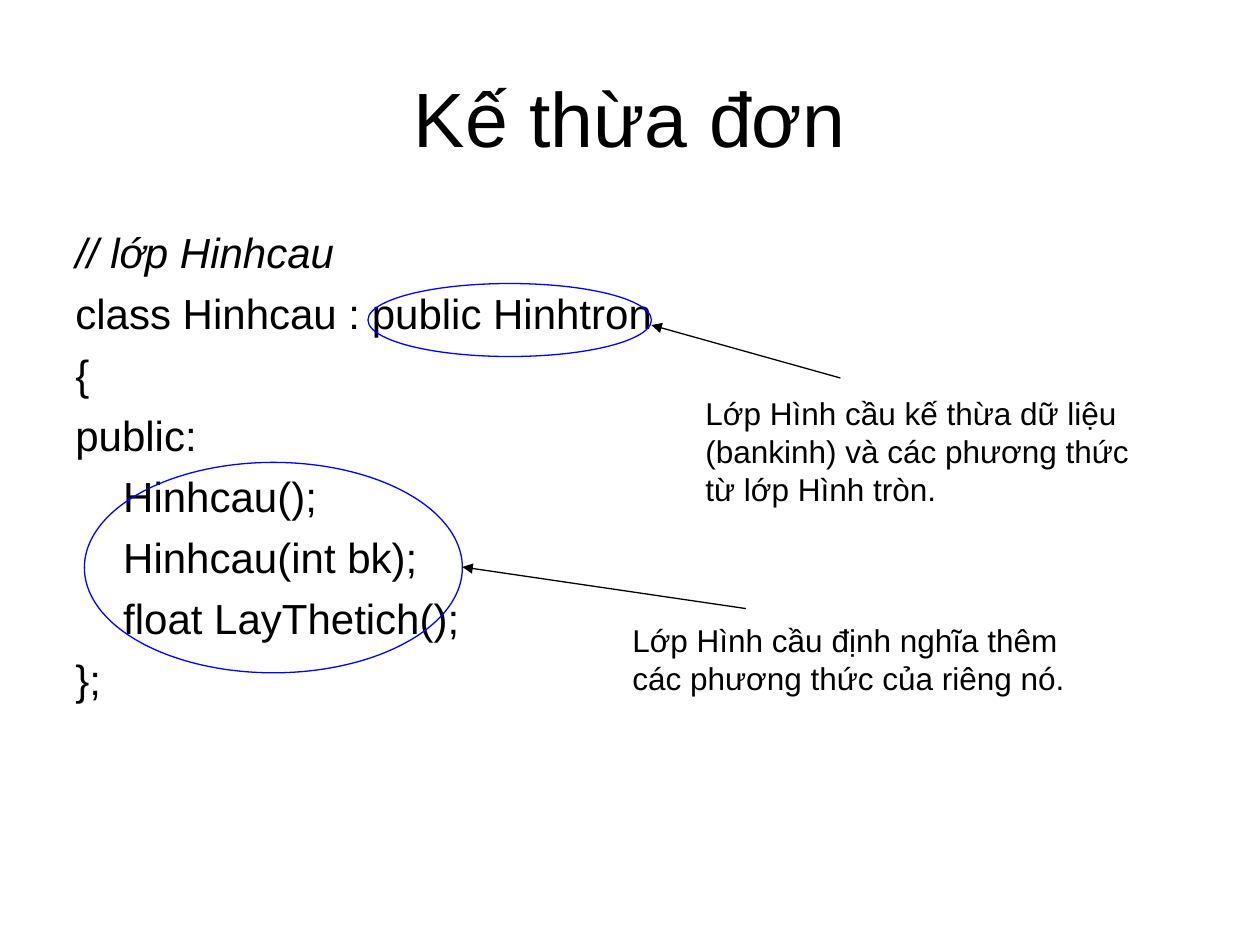
from dataclasses import dataclass
from lxml import etree
from pptx import Presentation
from pptx import util as u
from pptx.dml.color import RGBColor
from pptx.enum import shapes, text
from pptx.oxml import ns


@dataclass(frozen=True)
class Theme:
    font: str = "Arial"
    ink: RGBColor = RGBColor(0, 0, 0)
    ring: RGBColor = RGBColor(0, 0, 255)
    title: float = 44
    code: float = 24
    note: float = 18
    line: float = 0.75


class Deck:
    def __init__(self, theme):
        self.theme = theme
        self.show = Presentation()
        self.show.slide_width = u.Inches(10)
        self.show.slide_height = u.Inches(7.5)
        self.slide = self.show.slides.add_slide(self.show.slide_layouts[6])

    def label(self, box, lines, size, align=text.PP_ALIGN.LEFT,
              anchor=text.MSO_ANCHOR.TOP, before=0, hang=0, slant=()):
        frame = self.slide.shapes.add_textbox(*map(u.Inches, box)).text_frame
        frame.word_wrap = True
        frame.vertical_anchor = anchor
        for i, line in enumerate(lines):
            para = frame.add_paragraph() if i else frame.paragraphs[0]
            para.alignment = align
            para.space_before = u.Pt(before)
            if hang:
                props = para._p.get_or_add_pPr()
                props.set("marL", str(u.Inches(hang)))
                props.set("indent", str(-u.Inches(hang)))
            run = para.add_run()
            run.text = line
            run.font.name = self.theme.font
            run.font.size = u.Pt(size)
            run.font.color.rgb = self.theme.ink
            run.font.italic = i in slant

    def ring(self, box):
        oval = self.slide.shapes.add_shape(
            shapes.MSO_SHAPE.OVAL, *map(u.Inches, box))
        oval.shadow.inherit = False
        oval.fill.background()
        oval.line.color.rgb = self.theme.ring
        oval.line.width = u.Pt(self.theme.line)

    def arrow(self, start, end):
        link = self.slide.shapes.add_connector(
            shapes.MSO_CONNECTOR.STRAIGHT, *map(u.Inches, start + end))
        link.line.color.rgb = self.theme.ink
        link.line.width = u.Pt(self.theme.line)
        props = link._element.spPr
        tip = etree.SubElement(props.find(ns.qn("a:ln")), ns.qn("a:tailEnd"))
        tip.set("type", "triangle")
        etree.SubElement(props, ns.qn("a:effectLst"))


def main():
    theme = Theme()
    deck = Deck(theme)
    deck.label((0.5, 0.3, 9, 1.25), ["Kế thừa đơn"], theme.title,
               align=text.PP_ALIGN.CENTER, anchor=text.MSO_ANCHOR.MIDDLE)
    code = [
        "// lớp Hinhcau",
        "class Hinhcau : public Hinhtron",
        "{",
        "public:",
        "\tHinhcau();",
        "\tHinhcau(int bk);",
        "\tfloat LayThetich();",
        "};",
    ]
    deck.label((0.5, 1.75, 9, 4.95), code, theme.code,
               before=6, hang=0.38, slant=(0,))

    notes = [
        ((5.5, 3.08, 3.75, 1),
         "Lớp Hình cầu kế thừa dữ liệu (bankinh) và các phương thức "
         "từ lớp Hình tròn."),
        ((4.92, 4.88, 3.75, 0.7),
         "Lớp Hình cầu định nghĩa thêm các phương thức của riêng nó."),
    ]
    for box, words in notes:
        deck.label(box, [words], theme.note)

    for box in ((2.92, 2.25, 2.25, 0.58), (0.67, 3.67, 3, 1.67)):
        deck.ring(box)
    deck.arrow((6.67, 3), (5.17, 2.58))
    deck.arrow((5.92, 4.83), (3.67, 4.5))
    deck.show.save("out.pptx")


if __name__ == "__main__":
    main()
